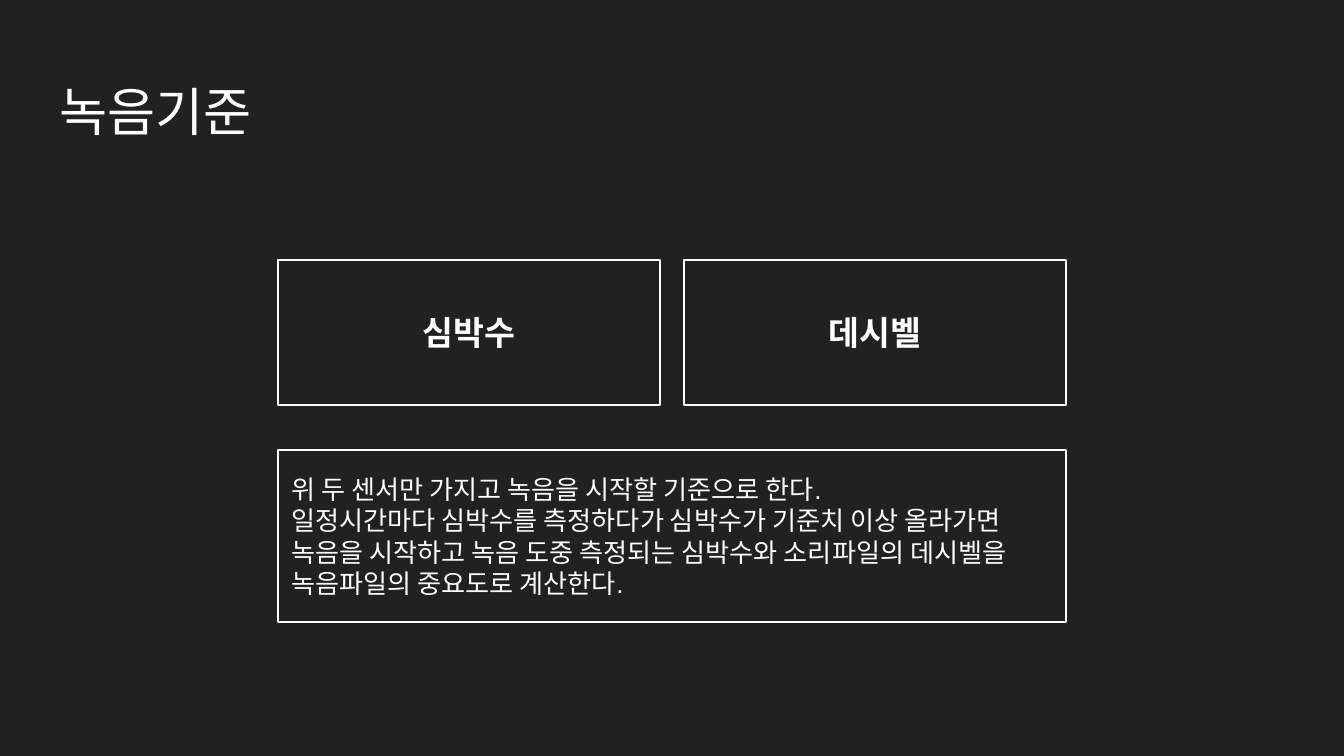
import pptx
import pptx.util
import pptx.dml.color
import pptx.enum.shapes
import pptx.enum.text

# Content
TITLE = "녹음기준"
SENSORS = ["심박수", "데시벨"]
CRITERIA = [
    "위 두 센서만 가지고 녹음을 시작할 기준으로 한다.",
    "일정시간마다 심박수를 측정하다가 심박수가 기준치 이상 올라가면 녹음을 시작하고 "
    "녹음 도중 측정되는 심박수와 소리파일의 데시벨을 녹음파일의 중요도로 계산한다.",
]

THEME = {
    "background": "212121", "foreground": "FFFFFF", "font": "Arial",
    "title": 28, "sensor": 18, "body": 14, "line": 0.75,
}

# Layout in pixels
SCALE = 914400 / 134.4
SLIDE_WIDTH, SLIDE_HEIGHT = 1344, 756
LEFT, CONTENT_WIDTH, GAP = 278, 788, 24
SENSOR_TOP, SENSOR_HEIGHT = 260, 145
CRITERIA_TOP, CRITERIA_HEIGHT = 450, 172
INSET = 13.44


def emu(pixels):
    return pptx.util.Emu(round(pixels * SCALE))


def color(name):
    return pptx.dml.color.RGBColor.from_string(THEME[name])


def add_text(paragraphs, box, size, bold=False, centered=False, outlined=True):
    position = [emu(value) for value in box]
    if outlined:
        shape = slide.shapes.add_shape(pptx.enum.shapes.MSO_SHAPE.RECTANGLE, *position)
        shape.shadow.inherit = False
        shape.fill.background()
        shape.line.color.rgb = color("foreground")
        shape.line.width = pptx.util.Pt(THEME["line"])
    else:
        shape = slide.shapes.add_textbox(*position)
    frame = shape.text_frame
    frame.word_wrap = True
    frame.margin_left = frame.margin_right = emu(INSET)
    frame.margin_top = frame.margin_bottom = emu(INSET)
    anchor = pptx.enum.text.MSO_ANCHOR
    frame.vertical_anchor = anchor.MIDDLE if outlined else anchor.TOP
    frame.text = "\n".join(paragraphs)
    alignment = pptx.enum.text.PP_ALIGN
    for paragraph in frame.paragraphs:
        paragraph.alignment = alignment.CENTER if centered else alignment.LEFT
        for run in paragraph.runs:
            run.font.name = THEME["font"]
            run.font.size = pptx.util.Pt(THEME[size])
            run.font.bold = bold
            run.font.color.rgb = color("foreground")


presentation = pptx.Presentation()
presentation.slide_width = emu(SLIDE_WIDTH)
presentation.slide_height = emu(SLIDE_HEIGHT)
slide = presentation.slides.add_slide(presentation.slide_layouts[6])
slide.background.fill.solid()
slide.background.fill.fore_color.rgb = color("background")

# Title
add_text([TITLE], (46, 66, 1252, 84), "title", outlined=False)

# Sensor boxes
sensor_width = (CONTENT_WIDTH - GAP * (len(SENSORS) - 1)) / len(SENSORS)
for index, sensor in enumerate(SENSORS):
    sensor_left = LEFT + index * (sensor_width + GAP)
    add_text([sensor], (sensor_left, SENSOR_TOP, sensor_width, SENSOR_HEIGHT),
             "sensor", bold=True, centered=True)

# Recording criteria
add_text(CRITERIA, (LEFT, CRITERIA_TOP, CONTENT_WIDTH, CRITERIA_HEIGHT), "body")

presentation.save("out.pptx")
